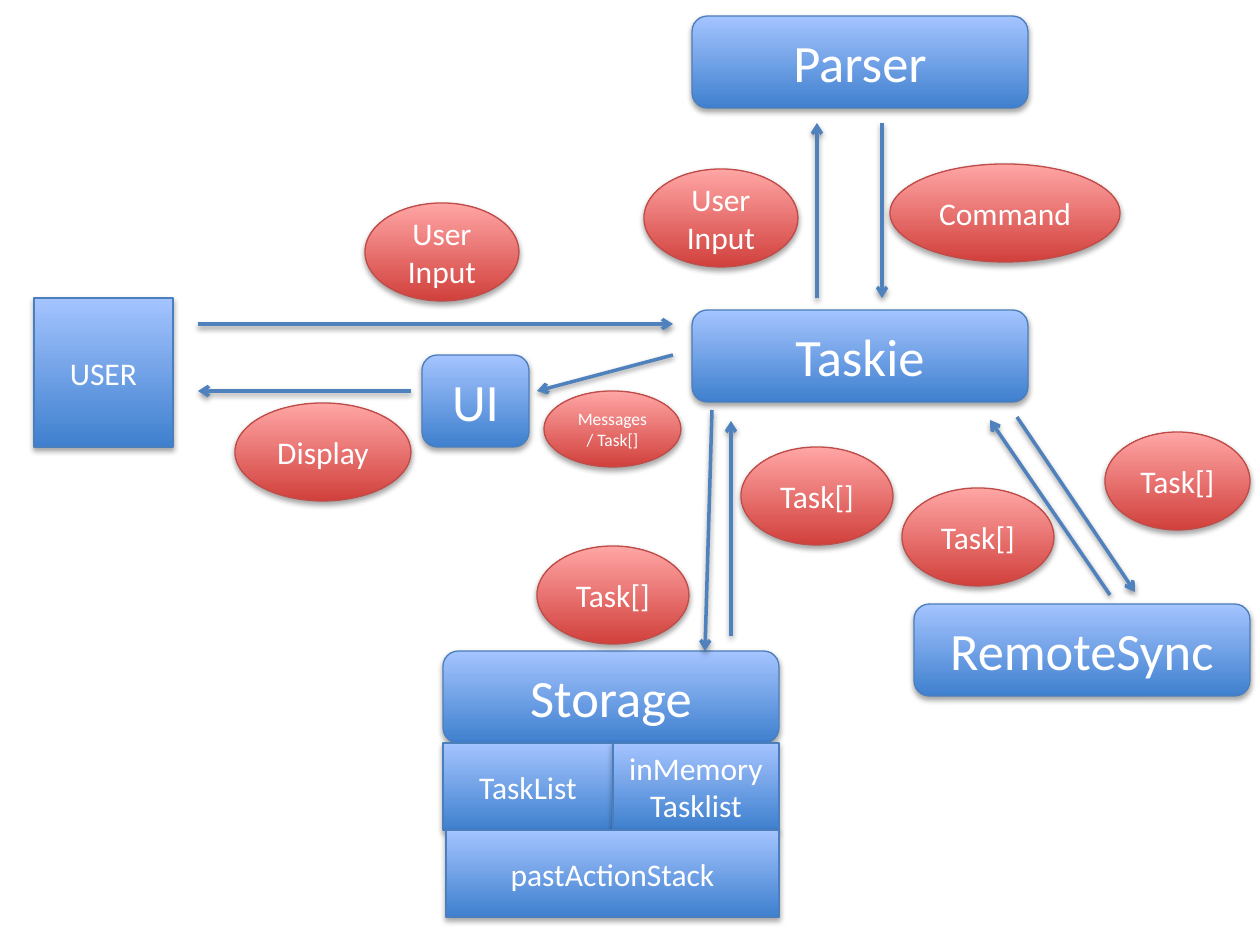
from lxml import etree
from pptx import Presentation
from pptx.dml.color import RGBColor
from pptx.enum.shapes import MSO_CONNECTOR, MSO_SHAPE
from pptx.enum.text import MSO_ANCHOR, PP_ALIGN
from pptx.oxml.ns import qn
from pptx.util import Inches, Pt

EMU_PER_PIXEL = 914400 / 126
RECTANGLE = MSO_SHAPE.RECTANGLE
ROUNDED = MSO_SHAPE.ROUNDED_RECTANGLE
OVAL = MSO_SHAPE.OVAL
STRAIGHT = MSO_CONNECTOR.STRAIGHT
MIDDLE = MSO_ANCHOR.MIDDLE
CENTER = PP_ALIGN.CENTER

FONT = "Calibri"
WHITE = "FFFFFF"
ARROW_BLUE = "4F81BD"
# Gradient bottom, gradient top, outline
BLUE = ("3F80CE", "A4C4FF", "4B7EBC")
RED = ("D1403C", "FFA6A5", "BF4C48")

COMPONENT_WIDTH, COMPONENT_HEIGHT = 336, 92
STORE_HEIGHT = 87
BUBBLE_HEIGHT = 98

COMPONENTS = [
    ("Parser", 692, 16, COMPONENT_WIDTH),
    ("Taskie", 692, 310, COMPONENT_WIDTH),
    ("UI", 422, 355, 107),
    ("Storage", 443, 651, COMPONENT_WIDTH),
    ("RemoteSync", 914, 604, COMPONENT_WIDTH),
]
STORES = [
    ("TaskList", 443, 743, 170),
    ("inMemory\vTasklist", 613, 743, 166),
    ("pastActionStack", 446, 830, 333),
]
ARROWS = [
    (198, 324, 673, 324),
    (411, 391, 198, 391),
    (673, 355, 537, 391),
    (817, 298, 817, 123),
    (882, 123, 882, 298),
    (1017, 417, 1135, 592),
    (712, 410, 705, 651),
    (731, 636, 731, 421),
    (1110, 595, 990, 420),
]
BUBBLES = [
    ("User Input", 365, 203, 154),
    ("User Input", 644, 169, 154),
    ("Display", 235, 403, 176),
    ("Command", 890, 164, 230),
    ("Task[]", 902, 488, 152),
    ("Task[]", 1105, 432, 145),
    ("Task[]", 741, 447, 152),
    ("Task[]", 537, 546, 152),
]


def px(*values):
    """Turn picture pixels into EMU."""
    return [round(value * EMU_PER_PIXEL) for value in values]


def color(hex_string):
    """Turn a hex string into a colour."""
    return RGBColor.from_string(hex_string)


def add_shadow(shape, distance, opacity):
    """Give a shape or connector a soft shadow that falls straight down."""
    properties = shape._element.spPr
    effects = etree.SubElement(properties, qn("a:effectLst"))
    shadow = etree.SubElement(
        effects, qn("a:outerShdw"), blurRad="40000", dist=str(distance),
        dir="5400000", rotWithShape="0")
    shadow_color = etree.SubElement(shadow, qn("a:srgbClr"), val="000000")
    etree.SubElement(shadow_color, qn("a:alpha"), val=str(opacity * 1000))


def add_node(slide, kind, text, box, palette, size):
    """Add a gradient shape with centred white text."""
    shape = slide.shapes.add_shape(kind, *px(*box))
    bottom, top, outline = palette
    shape.fill.gradient()
    shape.fill.gradient_angle = 90
    for stop, shade in zip(shape.fill.gradient_stops, (bottom, top)):
        stop.color.rgb = color(shade)
    shape.line.color.rgb = color(outline)
    shape.line.width = Pt(0.75)
    add_shadow(shape, 23000, 35)

    text_frame = shape.text_frame
    text_frame.text = text
    text_frame.word_wrap = True
    text_frame.vertical_anchor = MIDDLE
    paragraph = text_frame.paragraphs[0]
    paragraph.alignment = CENTER
    for run in paragraph.runs:
        run.font.name = FONT
        run.font.size = Pt(size)
        run.font.color.rgb = color(WHITE)


def add_arrow(slide, points):
    """Add a straight arrow from the first point to the second."""
    connector = slide.shapes.add_connector(STRAIGHT, *px(*points))
    connector.line.color.rgb = color(ARROW_BLUE)
    connector.line.width = Pt(2)
    line = connector._element.spPr.find(qn("a:ln"))
    etree.SubElement(line, qn("a:tailEnd"), type="arrow")
    add_shadow(connector, 20000, 38)


def main():
    """Build the architecture diagram."""
    presentation = Presentation()
    presentation.slide_width = Inches(10)
    presentation.slide_height = Inches(7.5)
    slide = presentation.slides.add_slide(presentation.slide_layouts[6])

    add_node(slide, RECTANGLE, "USER", (34, 298, 139, 149), BLUE, 18)
    for text, left, top, width in COMPONENTS:
        box = (left, top, width, COMPONENT_HEIGHT)
        add_node(slide, ROUNDED, text, box, BLUE, 30)
    for text, left, top, width in STORES:
        box = (left, top, width, STORE_HEIGHT)
        add_node(slide, RECTANGLE, text, box, BLUE, 18)
    for points in ARROWS:
        add_arrow(slide, points)
    for text, left, top, width in BUBBLES:
        box = (left, top, width, BUBBLE_HEIGHT)
        add_node(slide, OVAL, text, box, RED, 18)
    add_node(slide, OVAL, "Messages\v/ Task[]", (544, 391, 137, 76), RED, 10)

    presentation.save("out.pptx")


main()
